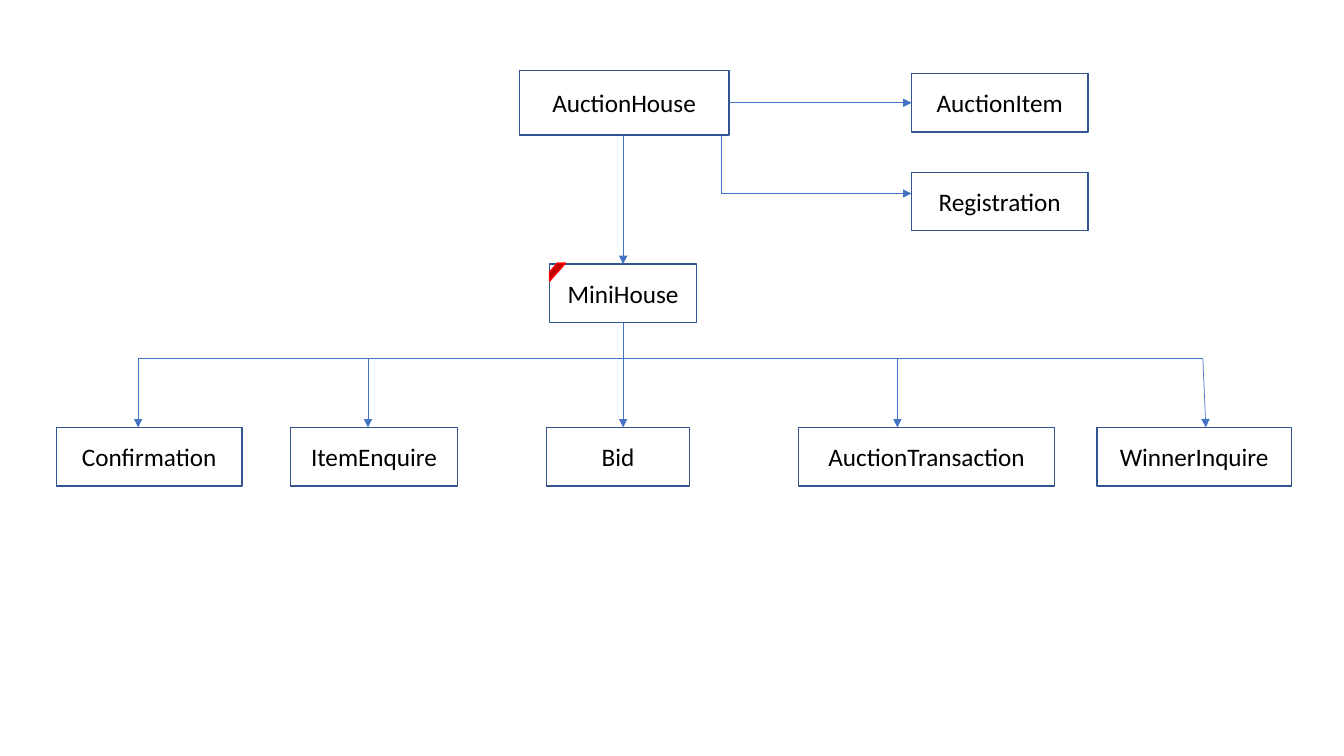
"""Draw the class diagram of an auction house and its messages."""
import pptx
import pptx.util
import pptx.dml.color
import pptx.enum.shapes
import pptx.enum.text
import pptx.oxml
import pptx.oxml.ns
from pptx.util import Inches

THEME = {
    "paper": "FFFFFF", "ink": "000000", "border": "325491", "link": "4472C4",
    "flag": "C00000", "flag_edge": "FF0000",
    "font": "Calibri", "text_size": 18, "border_width": 1, "link_width": 0.5,
}

BOX_HEIGHT = 0.58
MESSAGE_TOP = 4.24
BUS_Y = 3.56
TRUNK_X = 6.18
BRANCH_X, BRANCH_Y = 7.15, 1.92

HOUSE = ("AuctionHouse", 5.15, 0.7, 2.08, 0.64)
MINI_HOUSE = ("MiniHouse", 5.45, 2.62, 1.46, BOX_HEIGHT)
ITEM = ("AuctionItem", 9.04, 0.73, 1.75, BOX_HEIGHT)
REGISTRATION = ("Registration", 9.04, 1.71, 1.75, BOX_HEIGHT)
FLAG = (5.45, 2.61, 0.16, 0.18)

# name, left, width, start and end of its arrow
MESSAGES = [
    ("Confirmation", 0.56, 1.84, 1.37, 1.37),
    ("ItemEnquire", 2.88, 1.66, 3.65, 3.65),
    ("Bid", 5.42, 1.42, TRUNK_X, TRUNK_X),
    ("AuctionTransaction", 7.92, 2.54, 8.9, 8.9),
    ("WinnerInquire", 10.88, 1.93, 11.93, 11.96),
]


def color(role):
    """Return the theme colour of a role."""
    return pptx.dml.color.RGBColor.from_string(THEME[role])


def add_outlined(slide, preset, place, fill, edge):
    """Add a filled and outlined preset shape."""
    shape = slide.shapes.add_shape(preset, *map(Inches, place))
    shape.shadow.inherit = False
    shape.fill.solid()
    shape.fill.fore_color.rgb = color(fill)
    shape.line.color.rgb = color(edge)
    shape.line.width = pptx.util.Pt(THEME["border_width"])
    return shape


def add_class(slide, name, *place):
    """Add a box with a class name."""
    box = add_outlined(slide, pptx.enum.shapes.MSO_SHAPE.RECTANGLE,
                       place, "paper", "border")
    box.text_frame.vertical_anchor = pptx.enum.text.MSO_ANCHOR.MIDDLE
    label = box.text_frame.paragraphs[0]
    label.alignment = pptx.enum.text.PP_ALIGN.CENTER
    run = label.add_run()
    run.text = name
    run.font.name = THEME["font"]
    run.font.size = pptx.util.Pt(THEME["text_size"])
    run.font.color.rgb = color("ink")


def add_link(slide, start, end, arrow=True):
    """Add a straight link, with an arrowhead at its end if wanted."""
    link = slide.shapes.add_connector(
        pptx.enum.shapes.MSO_CONNECTOR.STRAIGHT, *map(Inches, start + end))
    link.line.color.rgb = color("link")
    link.line.width = pptx.util.Pt(THEME["link_width"])
    qn = pptx.oxml.ns.qn
    properties = link._element.spPr
    if arrow:
        head = pptx.oxml.parse_xml(
            f'<a:tailEnd {pptx.oxml.ns.nsdecls("a")} type="triangle"/>')
        properties.find(qn("a:ln")).append(head)
    properties.append(pptx.oxml.parse_xml(
        f'<a:effectLst {pptx.oxml.ns.nsdecls("a")}/>'))


def main():
    """Build the slide and save it."""
    deck = pptx.Presentation()
    deck.slide_width, deck.slide_height = Inches(13.33), Inches(7.5)
    slide = deck.slides.add_slide(deck.slide_layouts[6])

    for place in (HOUSE, MINI_HOUSE, ITEM, REGISTRATION):
        add_class(slide, *place)
    add_outlined(slide, pptx.enum.shapes.MSO_SHAPE.DIAGONAL_STRIPE,
                 FLAG, "flag", "flag_edge")

    _, house_left, house_top, house_width, house_height = HOUSE
    house_bottom = house_top + house_height
    house_middle = house_top + house_height / 2
    mini_top = MINI_HOUSE[2]
    add_link(slide, (TRUNK_X, house_bottom), (TRUNK_X, mini_top))
    add_link(slide, (house_left + house_width, house_middle), (ITEM[1], house_middle))
    add_link(slide, (BRANCH_X, house_bottom), (BRANCH_X, BRANCH_Y), arrow=False)
    add_link(slide, (BRANCH_X, BRANCH_Y), (REGISTRATION[1], BRANCH_Y))

    add_link(slide, (TRUNK_X, mini_top + BOX_HEIGHT), (TRUNK_X, BUS_Y), arrow=False)
    add_link(slide, (MESSAGES[0][3], BUS_Y), (MESSAGES[-1][3], BUS_Y), arrow=False)
    for name, left, width, start_x, end_x in MESSAGES:
        add_class(slide, name, left, MESSAGE_TOP, width, BOX_HEIGHT)
        add_link(slide, (start_x, BUS_Y), (end_x, MESSAGE_TOP))

    deck.save("out.pptx")


if __name__ == "__main__":
    main()
